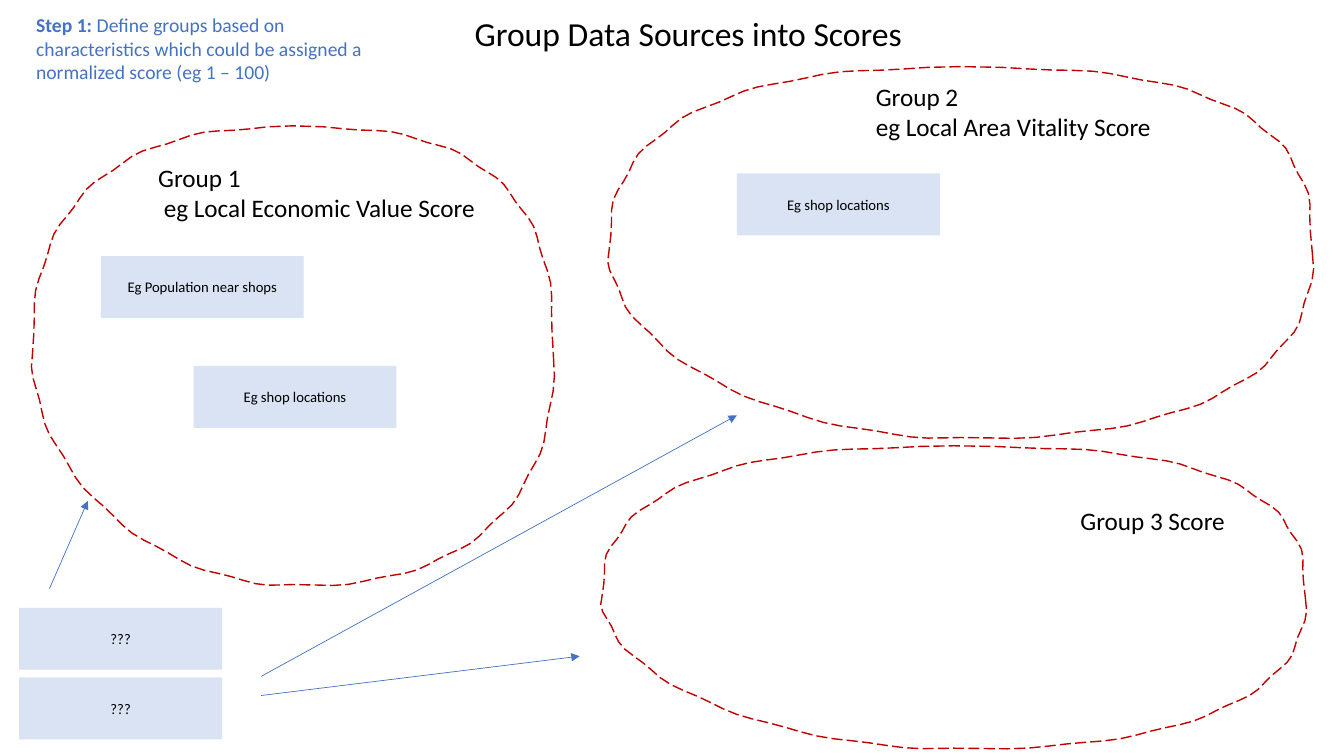
from math import copysign, cos, pi, sin

from lxml.etree import SubElement as Sub
from pptx import Presentation
from pptx.dml.color import RGBColor
from pptx.enum.dml import MSO_LINE as Dash
from pptx.enum.shapes import MSO_CONNECTOR as Link, MSO_SHAPE as Form
from pptx.enum.text import MSO_ANCHOR as Anchor, PP_ALIGN as Align
from pptx.oxml.ns import qn
from pptx.util import Inches, Pt

# All lengths are percentages of the slide's width (x, w) or height (y, h)
WIDE, HIGH = Inches(13.333), Inches(7.5)
FONT = "Calibri"
BLACK, BLUE, PALE, RED = "000000", "4472C4", "DAE3F3", "C00000"
BOX_W, BOX_H, BOX_GAP = 15.1, 8.2, 1

# Ring of a group: a superellipse whose power differs from corner to corner
# (2 is an ellipse, more is squarer), with a slight hand-drawn ripple.
# Corners run clockwise: low right, low left, top left, top right.
POWERS = [2.4, 1.9, 2.5, 2.75]
STEPS = 120
WAVES, RIPPLE = 23, 0.005


def across(share):
    return round(WIDE * share / 100)


def down(share):
    return round(HIGH * share / 100)


def place(x, y, w, h):
    return across(x), down(y), across(w), down(h)


def tint(code):
    return RGBColor.from_string(code)


def style(frame, size, color):
    """Format every run in the frame."""
    for para in frame.paragraphs:
        for run in para.runs:
            run.font.name = FONT
            run.font.size = Pt(size)
            run.font.color.rgb = tint(color)


def add_box(slide, text, x, y):
    """Pale rectangle that names one data source."""
    box = slide.shapes.add_shape(Form.RECTANGLE, *place(x, y, BOX_W, BOX_H))
    box.shadow.inherit = False
    box.fill.solid()
    box.fill.fore_color.rgb = tint(PALE)
    box.line.fill.background()
    frame = box.text_frame
    frame.text = text
    frame.vertical_anchor = Anchor.MIDDLE
    frame.paragraphs[0].alignment = Align.CENTER
    style(frame, 10.5, BLACK)


def add_stack(slide, texts, x, y):
    """Boxes one below the other at an equal gap."""
    for row, text in enumerate(texts):
        add_box(slide, text, x, y + row * (BOX_H + BOX_GAP))


def add_text(slide, text, size, spot, color=BLACK):
    frame = slide.shapes.add_textbox(*place(*spot)).text_frame
    frame.word_wrap = True
    frame.text = text
    style(frame, size, color)
    return frame


def add_step(slide, head, rest, spot):
    """Step note with a bold lead-in."""
    frame = add_text(slide, head, 14, spot, BLUE)
    para = frame.paragraphs[0]
    para.runs[0].font.bold = True
    para.add_run().text = rest
    style(frame, 14, BLUE)


def add_arrow(slide, start, end):
    (x1, y1), (x2, y2) = start, end
    arrow = slide.shapes.add_connector(
        Link.STRAIGHT, across(x1), down(y1), across(x2), down(y2))
    arrow.line.color.rgb = tint(BLUE)
    arrow.line.width = Pt(0.5)
    Sub(arrow.line._get_or_add_ln(), qn("a:tailEnd"), type="triangle")
    Sub(arrow._element.spPr, qn("a:effectLst"))


def bend(value, power):
    """Push a sine or cosine outward, keeping its sign."""
    return copysign(abs(value) ** (2 / power), value)


def ring_dot(step):
    """Point of the ring, from -1 to 1 each way, y downward."""
    angle = 2 * pi * step / STEPS
    power = POWERS[step * len(POWERS) // STEPS]
    reach = 1 + RIPPLE * sin(WAVES * angle)
    return reach * bend(cos(angle), power), reach * bend(sin(angle), power)


def add_ring(slide, x, y, w, h):
    """Dashed ring that fills the given area."""
    left, top, wide, high = place(x, y, w, h)
    dots = [(round(left + wide * (1 + u) / 2), round(top + high * (1 + v) / 2))
            for u, v in map(ring_dot, range(STEPS))]
    pen = slide.shapes.build_freeform(*dots[0])
    pen.add_line_segments(dots[1:], close=True)
    ring = pen.convert_to_shape()
    ring.shadow.inherit = False
    ring.fill.background()
    ring.line.color.rgb = tint(RED)
    ring.line.width = Pt(1)
    ring.line.dash_style = Dash.LONG_DASH


def add_group(slide, name, spot, area):
    add_ring(slide, *area)
    add_text(slide, name, 18, spot)


def main():
    deck = Presentation()
    deck.slide_width, deck.slide_height = WIDE, HIGH
    slide = deck.slides.add_slide(deck.slide_layouts[6])

    # Heading and step note
    add_text(slide, "Group Data Sources into Scores", 24,
             (34.58, 1.07, 45.08, 6.67))
    add_step(slide, "Step 1:",
             " Define groups based on characteristics which could be "
             "assigned a normalized score (eg 1 – 100)",
             (1.95, 1.07, 27.53, 10.8))

    # Groups with their names; \v is a line break
    add_group(slide, "Group 1\v eg Local Economic Value Score",
              spot=(11.03, 20.8, 25.65, 9.47), area=(2.4, 16.8, 38.78, 60.67))
    add_group(slide, "Group 2\veg Local Area Vitality Score",
              spot=(64.43, 10.13, 23.25, 9.47), area=(45.3, 8.93, 52.35, 49.07))
    add_group(slide, "Group 3 Score",
              spot=(79.65, 66.13, 13.05, 5.33), area=(44.78, 59.07, 52.35, 40))

    # Sources already sorted into groups
    add_box(slide, "Eg Population near shops", 7.5, 33.87)
    add_box(slide, "Eg shop locations", 14.4, 48.4)
    add_box(slide, "Eg shop locations", 54.83, 22.93)

    # Unsorted sources, with an arrow to each group
    add_stack(slide, ["???", "???"], 1.43, 80.4)
    add_arrow(slide, start=(3.68, 77.87), end=(6.53, 66.27))
    add_arrow(slide, start=(19.43, 89.47), end=(54.83, 54.93))
    add_arrow(slide, start=(19.43, 92), end=(43.13, 86.8))

    deck.save("out.pptx")


if __name__ == "__main__":
    main()
